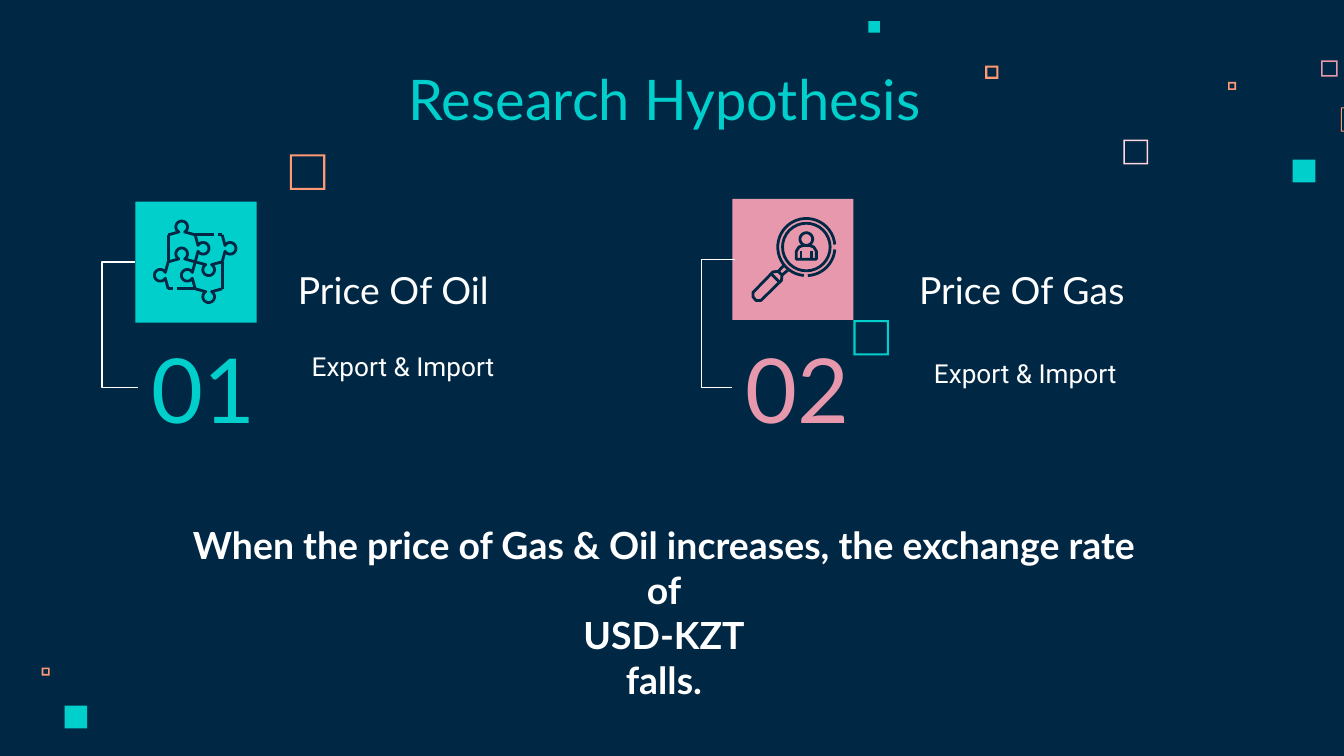
from dataclasses import dataclass
from math import cos, radians, sin

from lxml.etree import SubElement
from pptx import Presentation
from pptx.dml.color import RGBColor
from pptx.enum.shapes import MSO_CONNECTOR, MSO_SHAPE
from pptx.enum.text import MSO_ANCHOR, MSO_AUTO_SIZE, PP_ALIGN
from pptx.oxml.ns import qn
from pptx.util import Cm, Pt

NAVY, TEAL, PINK = "002845", "00CFCC", "E898AC"
ORANGE, BLUSH, WHITE = "FF9973", "FFD6E1", "FFFFFF"
Point = tuple[float, float]


@dataclass
class Square:
    left: float
    top: float
    size: float
    color: str
    border: float = 0  # 0 gives a solid square


@dataclass
class Topic:
    number: str
    color: str
    tile: Point
    bracket: tuple[float, float, float]  # start, bend, end
    heading: str
    heading_box: tuple[float, float, float, float]
    detail: str
    detail_box: tuple[float, float, float, float]


SQUARES = [
    Square(21.23, 2.64, 0.47, BLUSH, 0.03),
    Square(24.97, 1.14, 0.31, PINK, 0.03),
    Square(23.21, 1.55, 0.15, ORANGE, 0.03),
    Square(25.34, 2.03, 0.46, ORANGE, 0.02),
    Square(24.43, 3.02, 0.43, TEAL),
    Square(18.62, 1.24, 0.25, ORANGE, 0.04),
    Square(16.41, 0.4, 0.22, TEAL),
    Square(0.79, 12.62, 0.15, ORANGE, 0.03),
    Square(1.22, 13.34, 0.43, TEAL),
    Square(5.48, 2.92, 0.67, ORANGE, 0.04),
    Square(16.13, 6.05, 0.67, TEAL, 0.04),
]
TOPICS = [
    Topic("01", TEAL, (2.56, 3.81), (2.56, 1.93, 2.61),
          "Price Of Oil", (5.38, 4.55, 5.97, 1.6),
          "Export & Import", (5.64, 6.38, 5.36, 1.09)),
    Topic("02", PINK, (13.84, 3.76), (13.89, 13.26, 13.84),
          "Price Of Gas", (17.12, 4.55, 6.25, 1.6),
          "Export & Import", (17.4, 6.5, 4.88, 1.6)),
]
TILE = 2.29


def rgb(color: str) -> RGBColor:
    return RGBColor.from_string(color)


def write(shape, text: str, box, *, size: float, color: str, font: str = "Lato",
          bold: bool = False, align=PP_ALIGN.LEFT, anchor=MSO_ANCHOR.TOP,
          inset: float = 0.25) -> None:
    """Place a text shape and fill it, one paragraph for each line of text."""
    shape.left, shape.top, shape.width, shape.height = map(Cm, box)
    frame = shape.text_frame
    frame.word_wrap = True
    frame.auto_size = MSO_AUTO_SIZE.NONE
    frame.vertical_anchor = anchor
    frame.margin_left = frame.margin_right = Cm(0.25)
    frame.margin_top = frame.margin_bottom = Cm(inset)
    frame.text = text
    for paragraph in frame.paragraphs:
        paragraph.alignment = align
        paragraph.space_before = Pt(0)
        paragraph.line_spacing = 1.0
        properties = paragraph._p.get_or_add_pPr()
        properties.set("marL", "0")
        properties.set("indent", "0")
        SubElement(properties, qn("a:buNone"))
        font_format = paragraph.runs[0].font
        font_format.name, font_format.size = font, Pt(size)
        font_format.bold, font_format.color.rgb = bold, rgb(color)


def add_square(slide, square: Square) -> None:
    kind = MSO_SHAPE.FRAME if square.border else MSO_SHAPE.RECTANGLE
    shape = slide.shapes.add_shape(kind, Cm(square.left), Cm(square.top),
                                   Cm(square.size), Cm(square.size))
    if square.border:
        shape.adjustments[0] = square.border / square.size
    shape.fill.solid()
    shape.fill.fore_color.rgb = rgb(square.color)
    shape.line.fill.background()
    shape.shadow.inherit = False


def add_bracket(slide, start: float, bend: float, end: float, top: float, bottom: float) -> None:
    connector = slide.shapes.add_connector(MSO_CONNECTOR.ELBOW, Cm(start), Cm(top),
                                           Cm(end), Cm(bottom))
    connector.line.color.rgb = rgb(WHITE)
    connector.line.width = Pt(0.75)
    properties = connector._element.spPr
    SubElement(properties, qn("a:effectLst"))
    adjustments = properties.find(qn("a:prstGeom")).get_or_add_avLst()
    ratio = round((bend - start) / (end - start) * 100000)
    SubElement(adjustments, qn("a:gd"), name="adj1", fmla=f"val {ratio}")


def arc(center: Point, radius: float, start: int, end: int) -> list[Point]:
    steps = 32
    angles = [radians(start + (end - start) * step / steps) for step in range(steps + 1)]
    return [(center[0] + radius * cos(a), center[1] + radius * sin(a)) for a in angles]


def add_outline(slide, contours: list[list[Point]]) -> None:
    """Draw all strokes of an icon as one freeform."""
    builder = None
    for contour in contours:
        first, *others = [(Cm(x), Cm(y)) for x, y in contour]
        if builder is None:
            builder = slide.shapes.build_freeform(*first)
        else:
            builder.move_to(*first)
        builder.add_line_segments(others, close=False)
    shape = builder.convert_to_shape()
    shape.fill.background()
    shape.line.color.rgb = rgb(NAVY)
    shape.line.width = Pt(1.5)
    shape.shadow.inherit = False


def puzzle_contours() -> list[list[Point]]:
    left, top, piece = 3.18, 4.44, 0.51
    middle, right, bottom = left + piece, left + 2 * piece, top + 2 * piece
    knob = [(0, 0), *arc((piece / 2, 0.15), 0.11, 240, -60), (piece, 0)]
    # column, row and side of the knob on each interlocking edge
    across = [(0, 0, -1), (0, 1, -1), (1, 1, 1), (1, 2, 1)]
    down = [(0, 1, -1), (1, 0, 1), (1, 1, -1), (2, 0, 1)]
    contours = [[(left + column * piece + u, top + row * piece + side * v) for u, v in knob]
                for column, row, side in across]
    contours += [[(left + column * piece + side * v, top + row * piece + u) for u, v in knob]
                 for column, row, side in down]
    return contours + [
        [(left, top), (left, top + piece)],
        [(right, top + piece), (right, bottom)],
        [(middle, top), (4.04, top)], [(4.12, top), (right, top)],
        [(left, bottom), (3.27, bottom)], [(3.34, bottom), (middle, bottom)],
    ]


def magnifier_contours() -> list[list[Point]]:
    center = (15.24, 4.67)
    blade = [(14.61, 5.14), (14.23, 5.53), (14.23, 5.61), (14.29, 5.68), (14.38, 5.68),
             (14.77, 5.3), (14.78, 5.2), (14.71, 5.13), (14.61, 5.14)]
    shoulder = [(-0.19, 0.23), (-0.19, 0.08), (-0.14, 0), (-0.06, -0.03)]
    body = shoulder + [(-x, y) for x, y in reversed(shoulder)] + shoulder[:1]
    return [
        arc(center, 0.54, -5, -265), arc(center, 0.54, 87, 5),
        arc(center, 0.45, 0, 360), arc((15.24, 4.52), 0.12, 0, 360),
        [(center[0] + x, center[1] + y) for x, y in body],
        [(15.14, 4.75), (15.14, 4.9)], [(15.34, 4.75), (15.34, 4.9)],
        blade, [(14.59, 5.19), (14.73, 5.33)],
        [(14.71, 5.13), (14.82, 5.01)], [(14.78, 5.2), (14.9, 5.1)],
    ]


def main() -> None:
    presentation = Presentation()
    presentation.slide_width, presentation.slide_height = Cm(25.4), Cm(14.29)
    slide = presentation.slides.add_slide(presentation.slide_layouts[4])
    slide.background.fill.solid()
    slide.background.fill.fore_color.rgb = rgb(NAVY)

    # Scattered squares
    for square in SQUARES:
        add_square(slide, square)

    # Title
    write(slide.shapes.title, "Research Hypothesis", (1.73, 1.14, 21.67, 1.6), size=30,
          color=TEAL, align=PP_ALIGN.CENTER, anchor=MSO_ANCHOR.BOTTOM)

    # Two topics, each with heading, detail, number, tile and bracket
    for index, topic in enumerate(TOPICS):
        left, top = topic.tile
        write(slide.placeholders[2 * index + 1], topic.heading, topic.heading_box,
              size=20, color=WHITE, anchor=MSO_ANCHOR.BOTTOM)
        write(slide.placeholders[2 * index + 2], topic.detail, topic.detail_box,
              size=14, color=WHITE, font="Roboto")
        write(slide.shapes.add_textbox(0, 0, 0, 0), topic.number,
              (left + 0.05 * (1 - index), 6.53, 4.88, 1.6), size=48, color=topic.color,
              anchor=MSO_ANCHOR.MIDDLE)
        add_square(slide, Square(left, top, TILE, topic.color))
        add_bracket(slide, *topic.bracket, top + TILE / 2, 7.32)

    # Icons
    add_outline(slide, puzzle_contours())
    add_outline(slide, magnifier_contours())

    # Statement
    write(slide.shapes.add_textbox(0, 0, 0, 0),
          "When the price of Gas & Oil increases, the exchange rate of\nUSD-KZT\nfalls.",
          (3.1, 9.75, 18.9, 2.82), size=20, color=WHITE, bold=True,
          align=PP_ALIGN.CENTER, inset=0.13)

    presentation.save("out.pptx")


if __name__ == "__main__":
    main()
